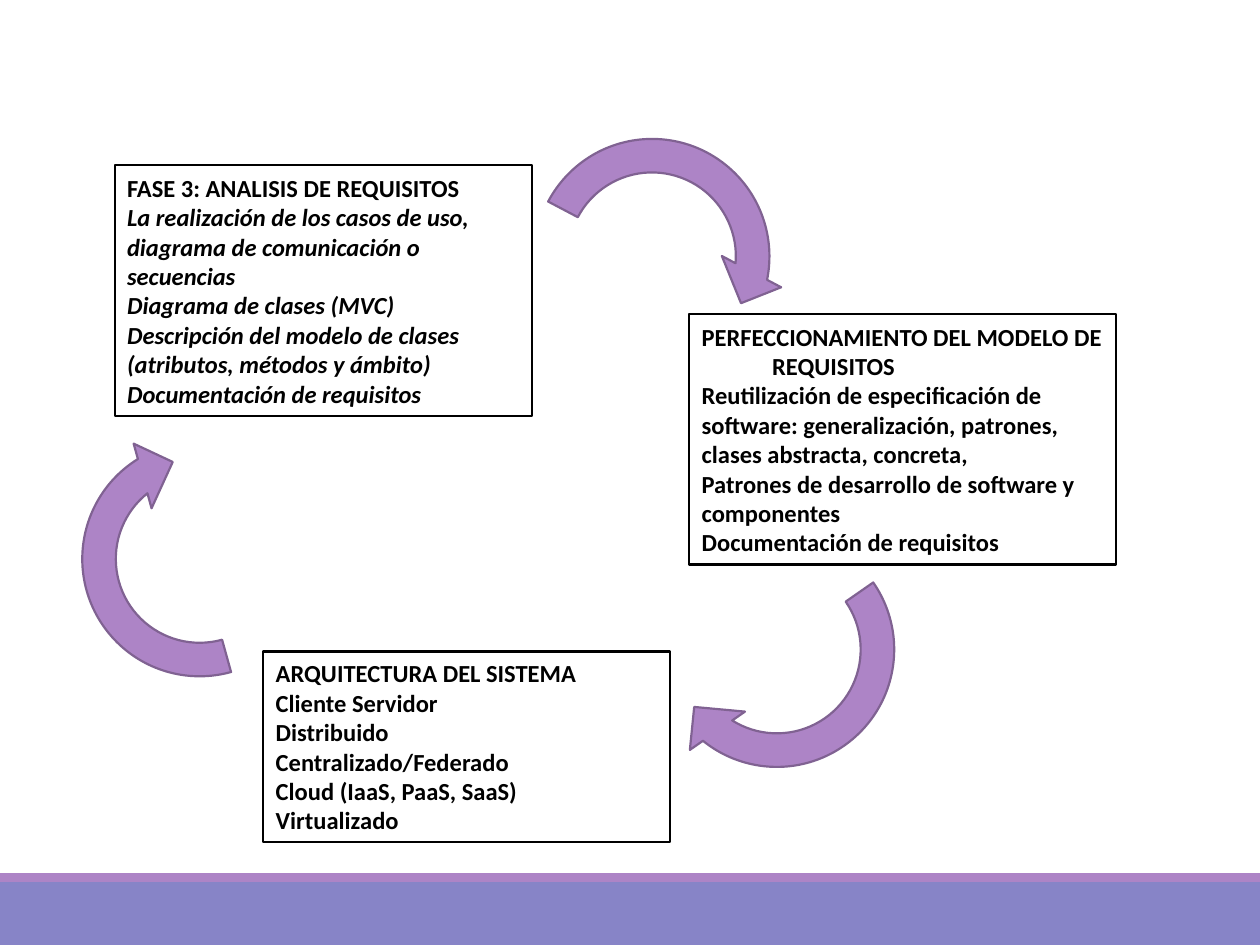
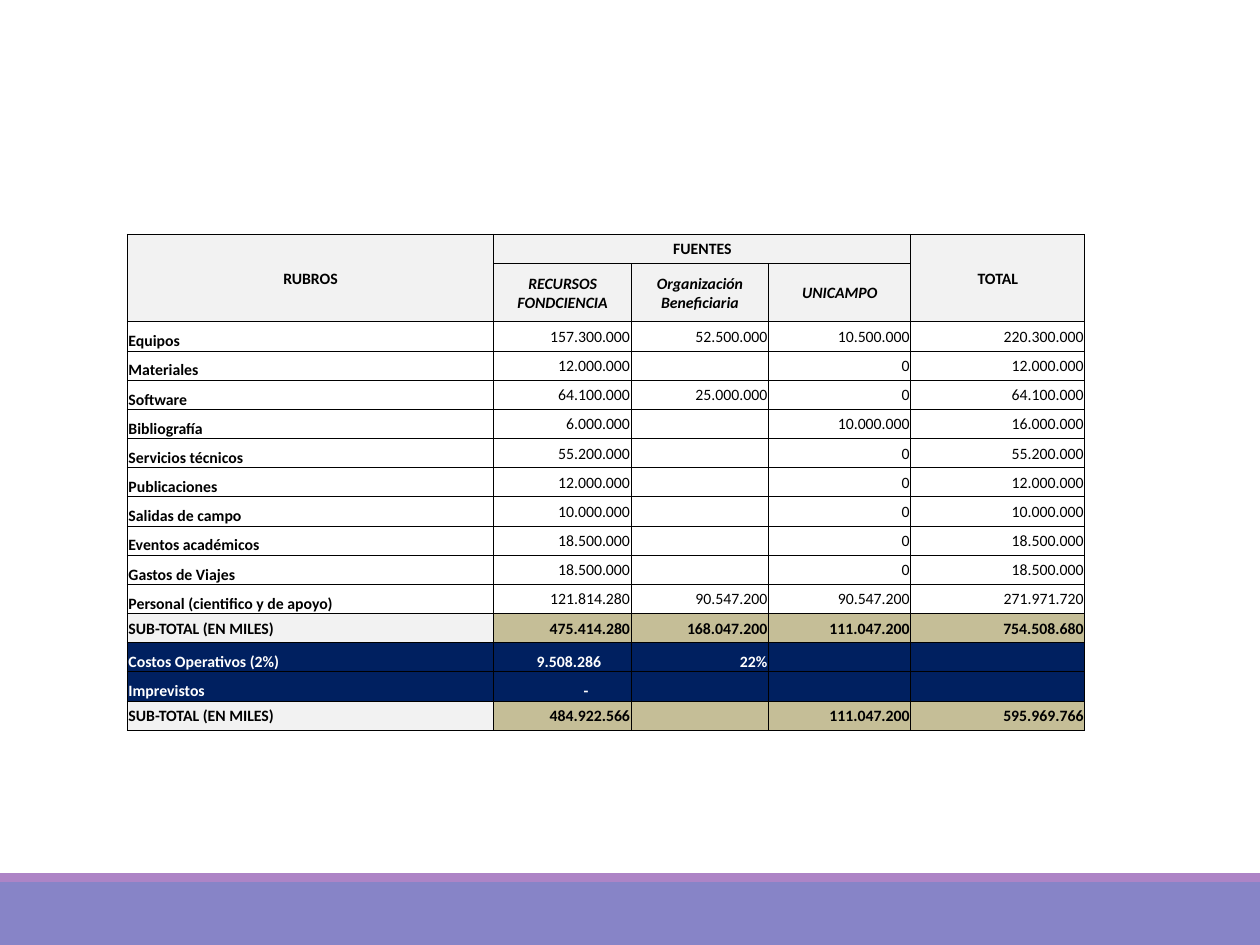
from lxml import etree
from pptx import Presentation
from pptx import util as u
from pptx.dml.color import RGBColor
from pptx.enum import shapes, text
from pptx.oxml.ns import qn

BLACK = RGBColor(0x00, 0x00, 0x00)
WHITE = RGBColor(0xFF, 0xFF, 0xFF)
PERIWINKLE = RGBColor(0x87, 0x84, 0xC7)
PURPLE = RGBColor(0xAD, 0x84, 0xC6)
DARK_PURPLE = RGBColor(0x80, 0x62, 0x92)
GREY = RGBColor(0xF2, 0xF2, 0xF2)
SAND = RGBColor(0xC5, 0xBE, 0x97)
NAVY = RGBColor(0x00, 0x20, 0x60)

FONT = "Calibri"
COLS, ROWS = 100, 75  # layout grid of the slide
UNIT = u.Inches(0.1)  # side of one grid square
HANG = u.Inches(0.56)
NO_STYLE = "{2D5ABB26-0587-4C30-8999-92F81FD0307C}"

LEFT, CENTER, RIGHT = text.PP_ALIGN.LEFT, text.PP_ALIGN.CENTER, text.PP_ALIGN.RIGHT
MIDDLE, BOTTOM = text.MSO_ANCHOR.MIDDLE, text.MSO_ANCHOR.BOTTOM

# Phase boxes: grid position, italic details, heading, details
PHASES = [
    ((9.1, 13.1, 33.1, 19.9), True, "FASE 3: ANALISIS DE REQUISITOS", [
        "La realización de los casos de uso, diagrama de comunicación o secuencias",
        "Diagrama de clases (MVC)",
        "Descripción del modelo de clases (atributos, métodos y ámbito)",
        "Documentación de requisitos"]),
    ((54.7, 24.9, 33.9, 19.9), False, "PERFECCIONAMIENTO DEL MODELO DE REQUISITOS", [
        "Reutilización de especificación de software: generalización, patrones, "
        "clases abstracta, concreta,",
        "Patrones de desarrollo de software y componentes",
        "Documentación de requisitos"]),
    ((20.9, 51.7, 32.3, 15.1), False, "ARQUITECTURA DEL SISTEMA", [
        "Cliente Servidor", "Distribuido", "Centralizado/Federado",
        "Cloud (IaaS, PaaS, SaaS)", "Virtualizado"]),
]

# Cycle arrows: column, row, rotation
ARROWS = [(41.1, 9.7, 27.8), (5.2, 33.7, 254.5), (51, 40.9, 145.2)]
ARROW_SIZE = 21.3

# Budget table, with a narrow empty column on each side
COL_WIDTHS = [1.8, 29.1, 10.9, 10.9, 11.3, 13.8, 2.6]
ROW_HEIGHT = 41.7 / 18
HEADERS = [
    ["RUBROS", "FUENTES", "", "", "TOTAL"],
    ["", "RECURSOS FONDCIENCIA", "Organización Beneficiaria", "UNICAMPO", ""],
]
ITEMS = [
    ["Equipos", "157.300.000", "52.500.000", "10.500.000", "220.300.000"],
    ["Materiales", "12.000.000", "", "0", "12.000.000"],
    ["Software", "64.100.000", "25.000.000", "0", "64.100.000"],
    ["Bibliografía", "6.000.000", "", "10.000.000", "16.000.000"],
    ["Servicios técnicos", "55.200.000", "", "0", "55.200.000"],
    ["Publicaciones", "12.000.000", "", "0", "12.000.000"],
    ["Salidas de campo", "10.000.000", "", "0", "10.000.000"],
    ["Eventos académicos", "18.500.000", "", "0", "18.500.000"],
    ["Gastos de Viajes", "18.500.000", "", "0", "18.500.000"],
    ["Personal (cientifico y de apoyo)", "121.814.280", "90.547.200", "90.547.200",
     "271.971.720"],
]
SUBTOTAL = ["SUB-TOTAL (EN MILES)", "475.414.280", "168.047.200", "111.047.200", "754.508.680"]
OPERATING = [
    ["Costos Operativos (2%)", "9.508.286", "22%", "", ""],
    ["Imprevistos", "-", "", "", ""],
]
FINAL = ["SUB-TOTAL (EN MILES)", "484.922.566", "", "111.047.200", "595.969.766"]


def grid(*lengths):
    return [round(n * UNIT) for n in lengths]


def add_block(slide, kind, at, fill, line=None):
    sp = slide.shapes.add_shape(kind, *grid(*at))
    sp.shadow.inherit = False
    sp.fill.solid()
    sp.fill.fore_color.rgb = fill
    if line is None:
        sp.line.fill.background()
    else:
        sp.line.color.rgb = line
        sp.line.width = u.Pt(1.25)
    return sp


def format_paragraph(p, size, color=BLACK, bold=True, italic=False, align=LEFT):
    p.alignment = align
    p.font.name = FONT
    p.font.size = u.Pt(size)
    p.font.bold = bold
    p.font.italic = italic
    p.font.color.rgb = color


def add_slide(prs):
    """Blank slide with the two footer bands."""
    slide = prs.slides.add_slide(prs.slide_layouts[6])
    rect = shapes.MSO_SHAPE.RECTANGLE
    add_block(slide, rect, (0, 70, COLS, 5), PERIWINKLE)
    add_block(slide, rect, (0, 69.3, COLS, 0.7), PURPLE)
    return slide


def add_phase(slide, at, italic, heading, details):
    sp = add_block(slide, shapes.MSO_SHAPE.RECTANGLE, at, WHITE, BLACK)
    tf = sp.text_frame
    tf.word_wrap = True
    tf.auto_size = text.MSO_AUTO_SIZE.SHAPE_TO_FIT_TEXT
    p = tf.paragraphs[0]
    p.text = heading
    format_paragraph(p, 14)
    # The heading hangs, the details start at the edge
    pPr = p._p.get_or_add_pPr()
    pPr.set("marL", str(HANG))
    pPr.set("indent", str(-HANG))
    for detail in details:
        p = tf.add_paragraph()
        p.text = detail
        format_paragraph(p, 14, italic=italic)


def add_arrow(slide, col, row, rotation):
    sp = add_block(slide, shapes.MSO_SHAPE.CIRCULAR_ARROW,
                   (col, row, ARROW_SIZE, ARROW_SIZE), PURPLE, DARK_PURPLE)
    sp.rotation = rotation


def add_borders(cell):
    tcPr = cell._tc.get_or_add_tcPr()
    for i, side in enumerate(("a:lnL", "a:lnR", "a:lnT", "a:lnB")):
        ln = etree.Element(qn(side), w=str(u.Pt(0.5)))
        fill = etree.SubElement(ln, qn("a:solidFill"))
        etree.SubElement(fill, qn("a:srgbClr"), val=str(BLACK))
        tcPr.insert(i, ln)


def set_margins(cell):
    cell.margin_left = cell.margin_right = cell.margin_top = u.Inches(0.01)
    cell.margin_bottom = 0


def fill_cell(cell, value, fill, anchor=MIDDLE, **style):
    cell.vertical_anchor = anchor
    if fill is None:
        cell.fill.background()
    else:
        cell.fill.solid()
        cell.fill.fore_color.rgb = fill
    add_borders(cell)
    if value:
        p = cell.text_frame.paragraphs[0]
        p.text = value
        format_paragraph(p, 9, **style)


def fill_row(table, row, values, label, amount):
    for col, value in enumerate(values, 1):
        fill_cell(table.cell(row, col), value, **(label if col == 1 else amount))


def add_budget(slide):
    rows = len(HEADERS) + len(ITEMS) + len(OPERATING) + 3
    frame = slide.shapes.add_table(rows, len(COL_WIDTHS),
                                   *grid(8.3, 18.6, sum(COL_WIDTHS), 41.7))
    table = frame.table
    table.first_row = table.horz_banding = False
    table._tbl.tblPr.find(qn("a:tableStyleId")).text = NO_STYLE
    for column, width in zip(table.columns, COL_WIDTHS):
        column.width = round(width * UNIT)
    for i, row in enumerate(table.rows):
        row.height = round(ROW_HEIGHT * UNIT * (2 if i == 1 else 1))

    # Small type in every cell keeps empty rows low
    for cell in table.iter_cells():
        set_margins(cell)
        p = cell.text_frame.paragraphs[0]
        etree.SubElement(p._p, qn("a:endParaRPr"), sz="900")

    # Row styles: label column and amount columns
    head = dict(fill=GREY, align=CENTER)
    source = dict(head, italic=True)
    item = (dict(fill=None, anchor=BOTTOM), dict(fill=WHITE, bold=False, align=RIGHT))
    total = (dict(fill=GREY), dict(fill=SAND, align=RIGHT))
    cost = dict(fill=NAVY, anchor=BOTTOM, color=WHITE)
    operating = (cost, dict(cost, align=RIGHT))

    styled = [(HEADERS[0], head, head), (HEADERS[1], head, source)]
    styled += [(values, *item) for values in ITEMS]
    styled += [(SUBTOTAL, *total)]
    styled += [(values, *operating) for values in OPERATING]
    styled += [(FINAL, *total)]
    for row, (values, label, amount) in enumerate(styled):
        fill_row(table, row, values, label, amount)

    # Operating amounts stand in from the right edge
    first_cost = len(HEADERS) + len(ITEMS) + 1
    for row, inset in enumerate((0.24, 0.34), first_cost):
        table.cell(row, 2).margin_right = u.Inches(inset)

    # Header spans
    table.cell(0, 1).merge(table.cell(1, 1))
    table.cell(0, 2).merge(table.cell(0, 4))
    table.cell(0, 5).merge(table.cell(1, 5))


def main():
    prs = Presentation()
    prs.slide_width, prs.slide_height = grid(COLS, ROWS)

    # Requirements cycle
    slide = add_slide(prs)
    for phase in PHASES:
        add_phase(slide, *phase)
    for arrow in ARROWS:
        add_arrow(slide, *arrow)

    # Budget
    add_budget(add_slide(prs))

    prs.save("out.pptx")


if __name__ == "__main__":
    main()
